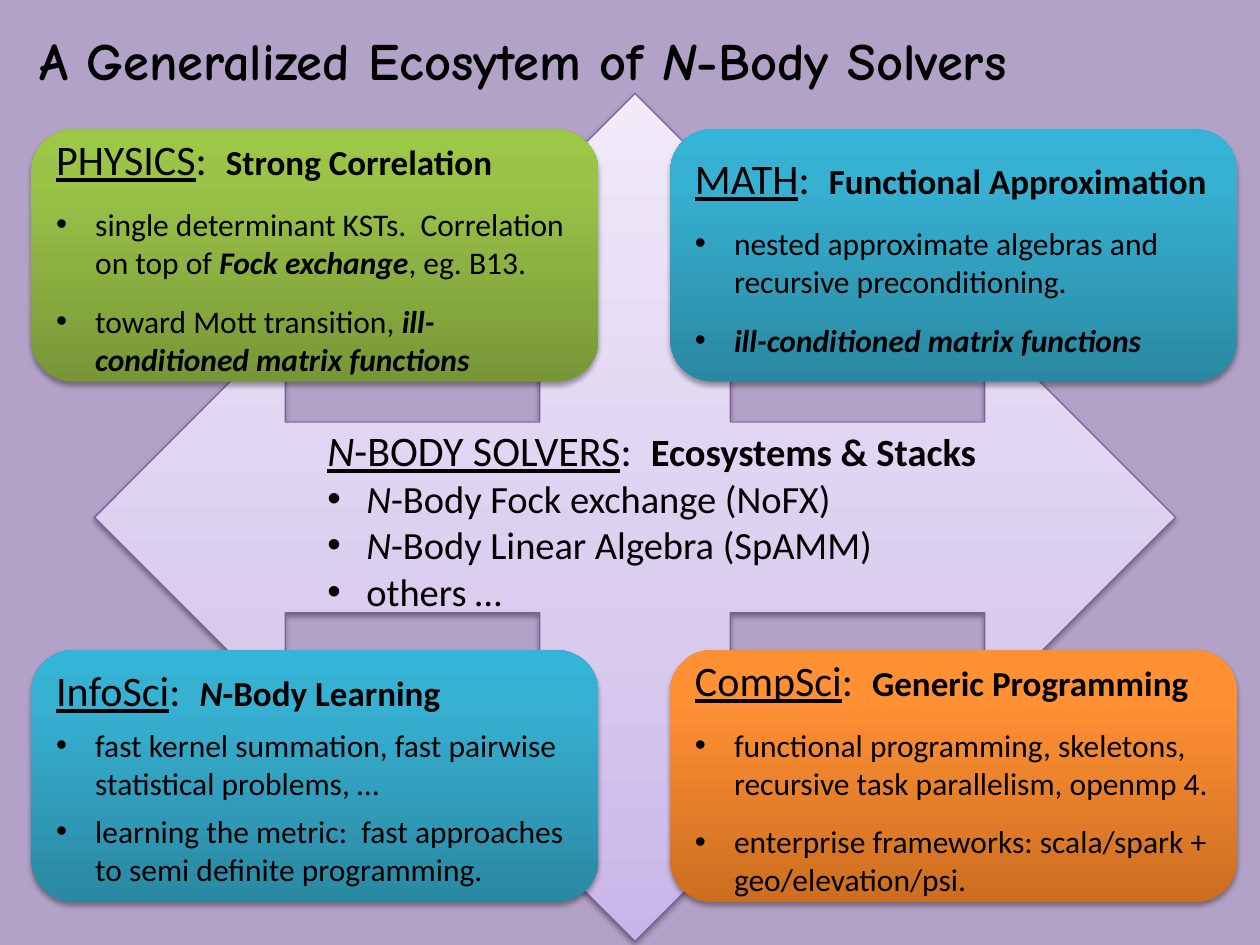
from dataclasses import dataclass
from typing import Any, NamedTuple

import pptx
import pptx.dml.color
import pptx.enum.shapes
import pptx.enum.text
import pptx.oxml
import pptx.oxml.ns
import pptx.util

WIDE, HIGH = 10, 7.5
COLS, ROWS = (0.025, 0.532), (0.137, 0.688)  # shares of the slide
CARD = (0.45, 0.267)
BLACK = "000000"
FLAGS = {"b": "bold", "i": "italic", "u": "underline"}
NS = pptx.oxml.ns.nsdecls("a")
SHAPE = pptx.enum.shapes.MSO_SHAPE
ANCHOR = pptx.enum.text.MSO_ANCHOR
Stops = list[tuple[int, str]]


class Run(NamedTuple):
    text: str
    size: float = 18
    style: str = ""  # letters of FLAGS


@dataclass
class Card:
    col: int
    row: int
    stops: Stops
    paras: list[list[Run]]  # heading first, then bullets
    above: float = 6
    below: float = 6


def tint(code: str) -> pptx.dml.color.RGBColor:
    return pptx.dml.color.RGBColor.from_string(code)


def place(x: float, y: float, wide: float, high: float) -> list[int]:
    """Turn shares of the slide into lengths."""
    return [pptx.util.Inches(part * full)
            for part, full in zip((x, y, wide, high), (WIDE, HIGH) * 2)]


def apply(target: Any, values: dict[str, Any]) -> None:
    for name, value in values.items():
        setattr(target, name, value)


def shade(shape: Any, stops: Stops, alpha: int, dist: float) -> None:
    """Give an upward gradient and a soft shadow below."""
    shape.fill.gradient()
    shape.fill.gradient_angle = 90
    props = shape._element.spPr
    ramp = props.find(".//" + pptx.oxml.ns.qn("a:gsLst"))
    for old in list(ramp):
        ramp.remove(old)
    for pos, code in stops:
        ramp.append(pptx.oxml.parse_xml(
            f'<a:gs {NS} pos="{pos * 1000}"><a:srgbClr val="{code}"/></a:gs>'))
    shape.shadow.inherit = False
    props.find(pptx.oxml.ns.qn("a:effectLst")).append(pptx.oxml.parse_xml(
        f'<a:outerShdw {NS} blurRad="{pptx.util.Pt(3.1)}" dist="{pptx.util.Pt(dist)}" '
        f'dir="5400000" rotWithShape="0"><a:srgbClr val="{BLACK}">'
        f'<a:alpha val="{alpha * 1000}"/></a:srgbClr></a:outerShdw>'))


def bullet(para: Any) -> None:
    props = para._p.get_or_add_pPr()
    step = pptx.util.Inches(0.31)
    props.set("marL", str(step))
    props.set("indent", str(-step))
    for mark in ('buFont {} typeface="Arial"', 'buChar {} char="•"'):
        props.append(pptx.oxml.parse_xml(f"<a:{mark.format(NS)}/>"))


def write(frame: Any, paras: list[list[Run]], anchor: Any, face: str = "Calibri",
          above: float = 0, below: float = 0) -> None:
    apply(frame, {"word_wrap": True, "vertical_anchor": anchor,
                  "auto_size": pptx.enum.text.MSO_AUTO_SIZE.NONE})
    for num, runs in enumerate(paras):
        para = frame.add_paragraph() if num else frame.paragraphs[0]
        apply(para, {"alignment": pptx.enum.text.PP_ALIGN.LEFT,
                     "space_before": pptx.util.Pt(above),
                     "space_after": pptx.util.Pt(below)})
        if num:
            bullet(para)
        for part in runs:
            run = para.add_run()
            run.text = part.text
            apply(run.font, {"name": face, "size": pptx.util.Pt(part.size)})
            apply(run.font, {name: key in part.style for key, name in FLAGS.items()})
            run.font.color.rgb = tint(BLACK)


def head(name: str, *rest: Run) -> list[Run]:
    return [Run(name, 24, "u"), Run(":  ", 24), *rest]


def draw(slide: Any, card: Card) -> None:
    shape = slide.shapes.add_shape(
        SHAPE.ROUNDED_RECTANGLE, *place(COLS[card.col], ROWS[card.row], *CARD))
    shape.line.fill.background()
    shade(shape, card.stops, 35, 1.8)
    write(shape.text_frame, card.paras, ANCHOR.MIDDLE,
          above=card.above, below=card.below)


BLUE = [(0, "2A88A2"), (80, "37B1D2"), (100, "34B4D6")]
GREEN = [(0, "779737"), (80, "9BC348"), (100, "9DC746")]
AMBER = [(0, "CC6E20"), (80, "FF9034"), (100, "FF9136")]
LILAC = [(0, "C9B5E8"), (35, "D8CBEE"), (100, "F0EAF9")]
MATRIX = Run("ill-conditioned matrix functions", 18, "bi")

CARDS = [
    Card(0, 0, GREEN, [
        head("PHYSICS", Run("Strong Correlation", 20, "b")),
        [Run("single determinant KSTs.  Correlation on top of "),
         Run("Fock exchange", 18, "bi"), Run(", eg. B13.")],
        [Run("toward Mott transition, "), MATRIX]]),
    Card(1, 0, BLUE, [
        head("MATH", Run("Functional Approximation", 20, "b")),
        [Run("nested approximate algebras and recursive preconditioning.")],
        [MATRIX]]),
    Card(0, 1, BLUE, [
        head("InfoSci", Run("N", 20, "bi"), Run("-Body Learning", 20, "b")),
        [Run("fast kernel summation, fast pairwise statistical problems, …")],
        [Run("learning the metric:  fast approaches to semi definite programming.")]],
        above=4, below=2),
    Card(1, 1, AMBER, [
        head("CompSci", Run("Generic Programming", 20, "b")),
        [Run("functional programming, skeletons, recursive task parallelism, openmp 4.")],
        [Run("enterprise frameworks: scala/spark + geo/elevation/psi.")]]),
]
CORE = [
    [Run("N", 24, "iu"), *head("-BODY SOLVERS", Run("Ecosystems & Stacks", 22, "b"))],
    [Run("N", 22, "i"), Run("-Body Fock exchange (NoFX)", 22)],
    [Run("N", 22, "i"), Run("-Body Linear Algebra (SpAMM)", 22)],
    [Run("others …", 22)],
]
TITLE = [[Run("A Generalized Ecosytem of ", 30, "b"), Run("N", 30, "bi"),
          Run("-Body Solvers", 30, "b")]]


def main() -> None:
    deck = pptx.Presentation()
    apply(deck, {"slide_width": pptx.util.Inches(WIDE),
                 "slide_height": pptx.util.Inches(HIGH)})
    slide = deck.slides.add_slide(deck.slide_layouts[5])
    slide.background.fill.solid()
    slide.background.fill.fore_color.rgb = tint("B3A2C7")

    # Title
    title = slide.shapes.title
    apply(title, dict(zip(("left", "top", "width", "height"),
                          place(0.021, 0.023, 0.914, 0.081))))
    write(title.text_frame, TITLE, ANCHOR.TOP, "Comic Neue")

    # Four-way arrow behind the cards
    arrow = slide.shapes.add_shape(
        SHAPE.QUAD_ARROW, *place(0.075, 0.099, 0.858, 0.897))
    arrow.line.color.rgb = tint("7D60A0")
    arrow.line.width = pptx.util.Pt(0.75)
    shade(arrow, LILAC, 38, 1.6)

    # Central text
    core = slide.shapes.add_textbox(*place(0.25, 0.443, 0.792, 0.216))
    write(core.text_frame, CORE, ANCHOR.TOP)

    # Corner cards
    for card in CARDS:
        draw(slide, card)

    deck.save("out.pptx")


if __name__ == "__main__":
    main()
